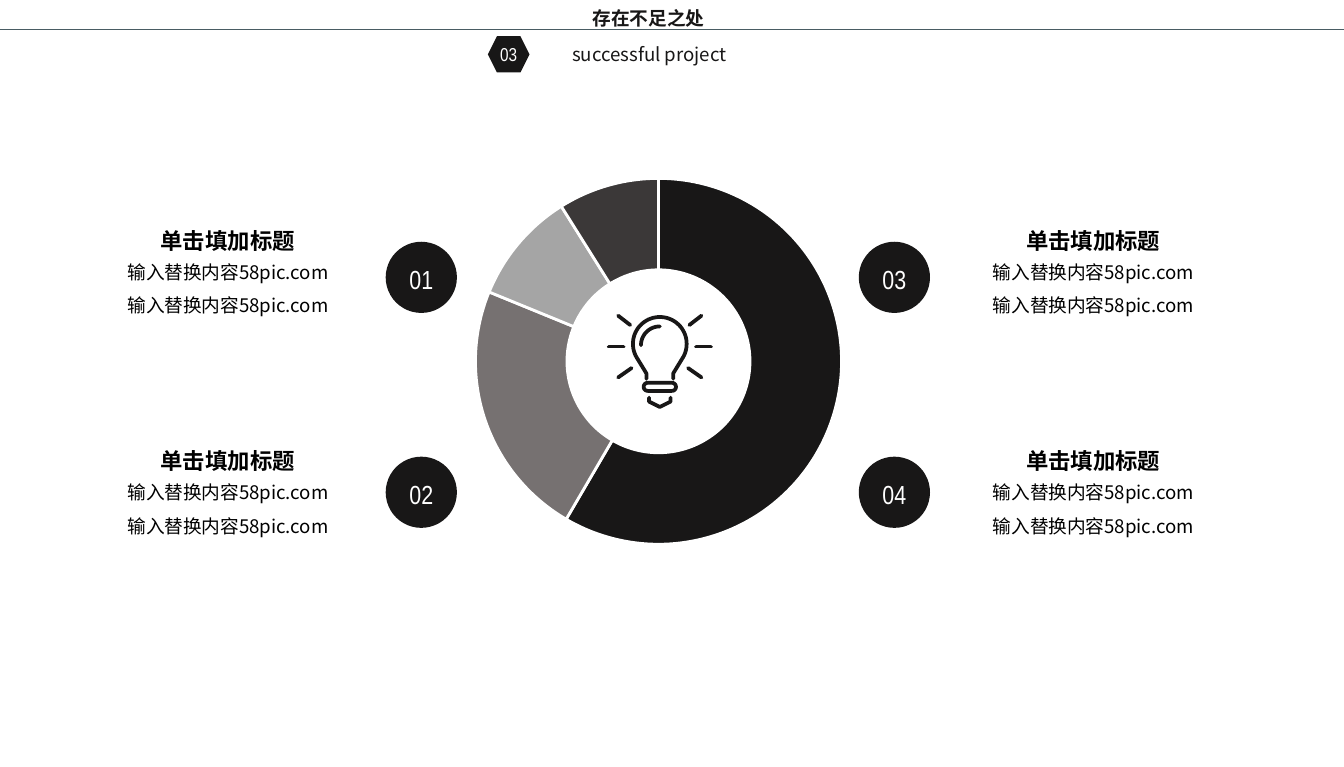
from dataclasses import dataclass
from itertools import product
from math import cos, radians, sin

from lxml.etree import SubElement
from pptx import Presentation
from pptx.chart.data import CategoryChartData
from pptx.dml.color import RGBColor
from pptx.enum.chart import XL_CHART_TYPE as ChartType
from pptx.enum.shapes import MSO_CONNECTOR as Connector, MSO_SHAPE as Shape
from pptx.enum.text import MSO_ANCHOR as Anchor, MSO_AUTO_SIZE as AutoSize, PP_ALIGN as Align
from pptx.oxml.ns import qn
from pptx.util import Inches, Pt


@dataclass(frozen=True)
class Theme:
    ink: str = "181717"
    black: str = "000000"
    white: str = "FFFFFF"
    rule: str = "495C63"
    slices: tuple = ("181717", "767171", "A5A5A5", "3B3838")
    cjk: str = "Noto Sans CJK SC"
    digits: str = "Arial Narrow"
    chart: str = "Calibri"
    small: int = 10
    heading: int = 12
    number: int = 14


THEME = Theme()


def rgb(value):
    return RGBColor.from_string(value)


def lengths(box):
    return [Inches(value) for value in box]


def write(shape, lines, face, size, color, bold=False, align=Align.CENTER,
          spacing=None, gap=0, **frame_format):
    frame = shape.text_frame
    settings = {"word_wrap": True, "auto_size": AutoSize.SHAPE_TO_FIT_TEXT, **frame_format}
    for name, value in settings.items():
        setattr(frame, name, value)
    for index, line in enumerate(lines):
        paragraph = frame.paragraphs[0] if index == 0 else frame.add_paragraph()
        paragraph.alignment = align
        if spacing:
            paragraph.line_spacing = spacing
        if index:
            paragraph.space_before = Pt(gap)
        run = paragraph.add_run()
        run.text = line
        run.font.color.rgb = rgb(color)
        for name, value in {"name": face, "size": Pt(size), "bold": bold}.items():
            setattr(run.font, name, value)
        SubElement(run.font._element, qn("a:ea"), typeface=face)


def text(slide, box, *args, **kwargs):
    write(slide.shapes.add_textbox(*lengths(box)), *args, **kwargs)


def solid(slide, kind, box):
    shape = slide.shapes.add_shape(kind, *lengths(box))
    shape.shadow.inherit = False
    shape.fill.solid()
    shape.fill.fore_color.rgb = rgb(THEME.ink)
    shape.line.fill.background()
    return shape


NO_MARGINS = dict.fromkeys(("margin_left", "margin_top", "margin_right", "margin_bottom"), 0)


def header(slide, box):
    left, top, width, height = box
    rule_y = top + 0.22
    text(slide, (left + 4.41, top + 0.05, 2.88, 0.17), ["存在不足之处"], THEME.cjk,
         THEME.small, THEME.ink, bold=True, align=Align.LEFT,
         vertical_anchor=Anchor.MIDDLE, **NO_MARGINS)
    text(slide, (left + 4.16, rule_y + 0.05, 1.43, 0.27), ["successful project"], THEME.cjk,
         THEME.small, THEME.ink, align=Align.LEFT, word_wrap=False)
    section = solid(slide, Shape.HEXAGON, (left + 3.63, rule_y + 0.05, 0.31, 0.27))
    write(section, ["03"], THEME.digits, THEME.small, THEME.white, word_wrap=False,
          auto_size=AutoSize.NONE, vertical_anchor=Anchor.MIDDLE)
    rule = slide.shapes.add_connector(
        Connector.STRAIGHT, *lengths((left, rule_y, left + width, rule_y)))
    rule.line.color.rgb = rgb(THEME.rule)
    rule.line.width = Pt(0.5)
    SubElement(rule._element.spPr, qn("a:effectLst"))


def doughnut(slide, box):
    data = CategoryChartData()
    data.categories = ["1", "2", "3", "4"]
    data.add_series("Series 1", (59, 23, 10, 9))
    chart = slide.shapes.add_chart(ChartType.DOUGHNUT, *lengths(box), data).chart
    chart.has_legend = False
    chart.has_title = False
    chart.font.name = THEME.chart
    chart.font.size = Pt(THEME.small)
    chart.font.color.rgb = rgb(THEME.black)
    plot = chart.plots[0]
    plot.vary_by_categories = True
    plot._element.find(qn("c:holeSize")).set("val", "75")
    for index, color in enumerate(THEME.slices):
        piece = plot.series[0].points[index].format
        piece.fill.solid()
        piece.fill.fore_color.rgb = rgb(color)
        piece.line.color.rgb = rgb(THEME.white)
        piece.line.width = Pt(1.5)


def arc(x, y, radius, start, end, step=5):
    return [(x + radius * cos(radians(a)), y + radius * sin(radians(a)))
            for a in range(start, end + 1, step)]


def mirror(points):
    return [(-x, y) for x, y in reversed(points)]


def bulb(slide, box):
    left, top, width, height = box
    axis = left + width / 2
    rays = [[(-0.31, 0.02), (-0.22, 0.09)],
            [(-0.38, 0.25), (-0.27, 0.25)],
            [(-0.31, 0.48), (-0.21, 0.41)]]
    neck = [(-0.1, 0.49), (-0.1, 0.45), (-0.13, 0.4)]
    glass = neck + arc(0, 0.23, 0.2, 145, 395) + mirror(neck)
    shine = arc(0, 0.24, 0.14, 180, 270)
    cap = arc(-0.09, 0.55, 0.03, 90, 270) + arc(0.09, 0.55, 0.03, 270, 450)
    tip = [(-0.08, 0.63), (-0.08, 0.66), (0, 0.7), (0.08, 0.66), (0.08, 0.63)]
    strokes = [*rays, *map(mirror, rays), glass, shine, cap + cap[:1], tip]

    placed = [[(Inches(axis + x), Inches(top + y)) for x, y in stroke] for stroke in strokes]
    builder = slide.shapes.build_freeform(*placed[0][0])
    for stroke in placed:
        builder.move_to(*stroke[0])
        builder.add_line_segments(stroke[1:], close=False)
    icon = builder.convert_to_shape()
    icon.shadow.inherit = False
    icon.fill.background()
    icon.line.color.rgb = rgb(THEME.ink)
    icon.line.width = Pt(2)
    outline = icon.line._ln
    outline.set("cap", "rnd")
    SubElement(outline, qn("a:round"))


def badge(slide, box, number):
    left, top, width, height = box
    solid(slide, Shape.OVAL, box)
    text(slide, (left + (width - 0.41) / 2, top + 0.11, 0.41, 0.34), [number],
         THEME.digits, THEME.number, THEME.white, word_wrap=False)


def caption(slide, box):
    left, top, width, height = box
    text(slide, (left, top + 0.24, width, 0.52), ["输入替换内容58pic.com"] * 2,
         THEME.cjk, THEME.small, THEME.black, gap=6)
    text(slide, (left + (width - 1.37) / 2, top, 1.37, 0.23), ["单击填加标题"],
         THEME.cjk, THEME.heading, THEME.black, bold=True, spacing=1.2, **NO_MARGINS)


def main():
    deck = Presentation()
    deck.slide_width, deck.slide_height = lengths((10, 5.71))
    slide = deck.slides.add_slide(deck.slide_layouts[6])
    header(slide, (0, 0, 10, 0.54))
    doughnut(slide, (2.65, 1.19, 4.5, 3))
    bulb(slide, (4.52, 2.33, 0.78, 0.71))
    columns = ((0.62, 2.87), (7.06, 6.39))
    rows = ((1.65, 1.8), (3.29, 3.4))
    for index, (column, row) in enumerate(product(columns, rows), start=1):
        caption_left, badge_left = column
        caption_top, badge_top = row
        caption(slide, (caption_left, caption_top, 2.15, 0.76))
        badge(slide, (badge_left, badge_top, 0.53, 0.53), f"{index:02}")
    deck.save("out.pptx")


if __name__ == "__main__":
    main()
